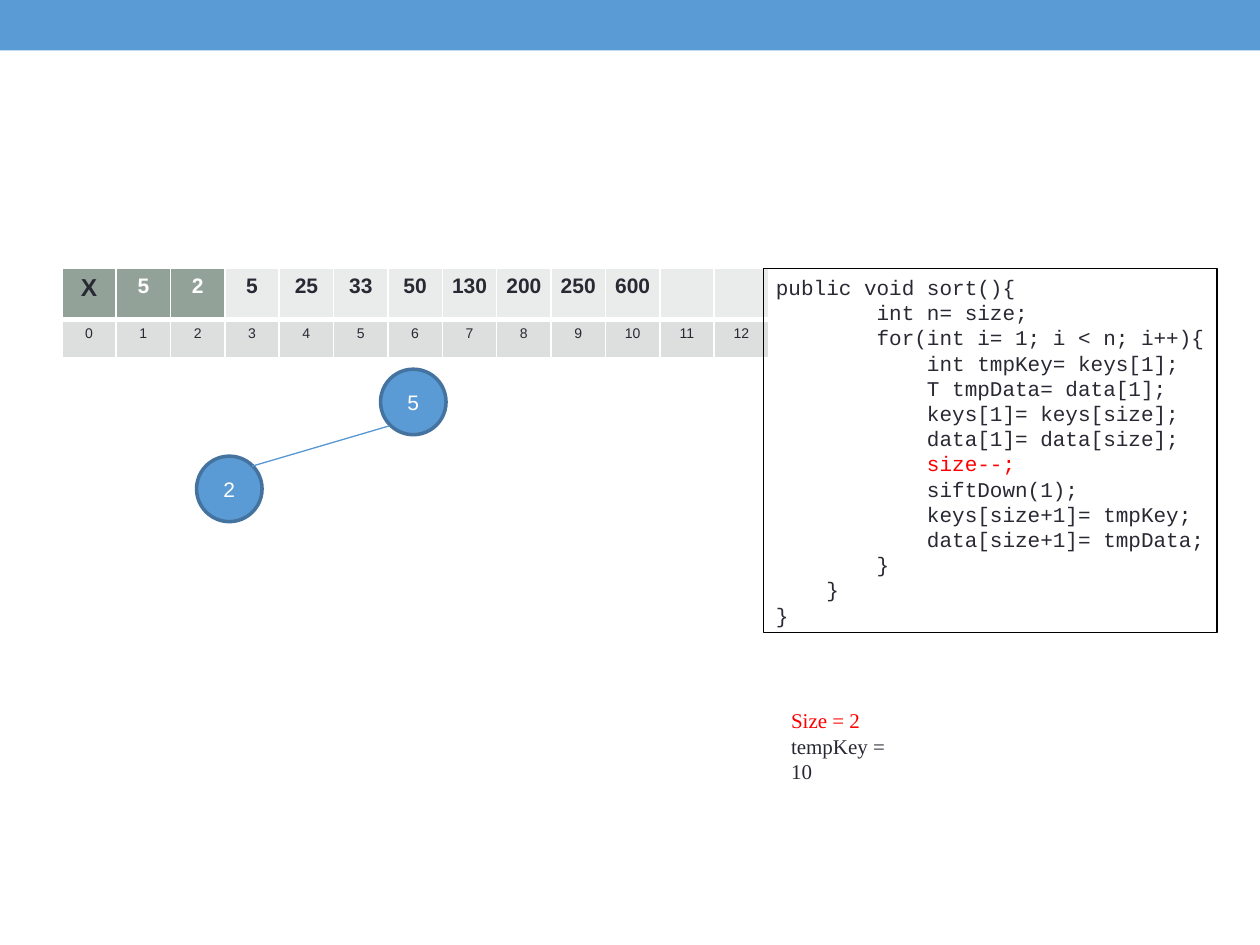
from dataclasses import dataclass

from lxml.etree import SubElement
from pptx import Presentation
from pptx.dml.color import RGBColor as RGB
from pptx.enum.shapes import MSO_CONNECTOR as LINK, MSO_SHAPE as SHAPE
from pptx.enum.text import MSO_ANCHOR as ANCHOR, PP_ALIGN as ALIGN
from pptx.oxml.ns import qn
from pptx.util import Inches, Pt


@dataclass(frozen=True)
class Theme:
    blue: str = "5B9BD5"
    rim: str = "43739E"
    edge: str = "5698D3"
    ink: str = "292934"
    red: str = "FF0000"
    white: str = "FFFFFF"
    black: str = "000000"
    sage: str = "93A299"
    pale: str = "E9ECEB"
    grey: str = "DCDFDD"
    sans: str = "Arial"
    mono: str = "Courier New"
    serif: str = "Times New Roman"
    big: int = 14
    body: int = 12
    small: int = 8


CODE = """public void sort(){
        int n= size;
        for(int i= 1; i < n; i++){
            int tmpKey= keys[1];
            T tmpData= data[1];
            keys[1]= keys[size];
            data[1]= data[size];
            size--;
            siftDown(1);
            keys[size+1]= tmpKey;
            data[size+1]= tmpData;
        }
    }
}"""
STATE = "Size = 2\ntempKey = 10"
KEYS = ["X", "5", "2", "5", "25", "33", "50", "130", "200", "250", "600", "", ""]
HEAP = 3


class Deck:
    def __init__(self, theme):
        self.theme = theme
        self.file = Presentation()
        self.file.slide_width = Inches(10)
        self.file.slide_height = Inches(7.5)
        self.slide = self.file.slides.add_slide(self.file.slide_layouts[6])

    def label(self, frame, text, face, size, color, align=ALIGN.LEFT, bold=False, hot=None):
        frame.text = text
        for row, para in enumerate(frame.paragraphs):
            para.alignment = align
            for run in para.runs:
                font = run.font
                font.name, font.size, font.bold = face, Pt(size), bold
                shade = self.theme.red if row == hot else color
                font.color.rgb = RGB.from_string(shade)

    def shape(self, kind, box, fill=None, line=None, width=0.75):
        item = self.slide.shapes.add_shape(kind, *map(Inches, box))
        item.shadow.inherit = False
        if fill:
            item.fill.solid()
            item.fill.fore_color.rgb = RGB.from_string(fill)
        else:
            item.fill.background()
        if line:
            item.line.color.rgb = RGB.from_string(line)
            item.line.width = Pt(width)
        else:
            item.line.fill.background()
        return item

    def node(self, left, top, text):
        look = self.theme
        item = self.shape(SHAPE.OVAL, (left, top, 0.52, 0.52), look.blue, look.rim, 2)
        item.text_frame.vertical_anchor = ANCHOR.MIDDLE
        self.label(item.text_frame, text, look.sans, look.body, look.white, ALIGN.CENTER)

    def link(self, start, end):
        ends = map(Inches, (*start, *end))
        item = self.slide.shapes.add_connector(LINK.STRAIGHT, *ends)
        item.line.color.rgb = RGB.from_string(self.theme.edge)
        item.line.width = Pt(0.75)
        SubElement(item._element.spPr, qn("a:effectLst"))

    def code(self, box, text, hot):
        look = self.theme
        frame = self.shape(SHAPE.RECTANGLE, box, line=look.black).text_frame
        frame.word_wrap = False
        frame.vertical_anchor = ANCHOR.TOP
        self.label(frame, text, look.mono, look.body, look.ink, hot=hot)

    def note(self, box, text, hot):
        look = self.theme
        frame = self.slide.shapes.add_textbox(*map(Inches, box)).text_frame
        frame.word_wrap = False
        self.label(frame, text, look.serif, look.body, look.ink, hot=hot)

    def cell(self, cell, text, size, color, fill, bold, base):
        props = cell._tc.get_or_add_tcPr()
        for side, width in (("L", 0.96), ("R", 0.96), ("T", 0.96), ("B", base)):
            line = SubElement(props, qn(f"a:ln{side}"), w=str(Pt(width)))
            paint = SubElement(line, qn("a:solidFill"))
            SubElement(paint, qn("a:srgbClr"), val=self.theme.white)
        cell.fill.solid()
        cell.fill.fore_color.rgb = RGB.from_string(fill)
        cell.margin_left = cell.margin_right = Inches(0.07)
        cell.margin_top = cell.margin_bottom = Inches(0.05)
        self.label(cell.text_frame, text, self.theme.sans, size, color, ALIGN.CENTER, bold)

    def array(self, box, keys, heap):
        look = self.theme
        grid = self.slide.shapes.add_table(2, len(keys), *map(Inches, box)).table
        grid.rows[0].height, grid.rows[1].height = Inches(0.38), Inches(0.3)
        for col, key in enumerate(keys):
            live = col < heap
            size = look.body if col else look.big
            color = look.white if live and col else look.ink
            fill = look.sage if live else look.pale
            self.cell(grid.cell(0, col), key, size, color, fill, True, 3)
            self.cell(grid.cell(1, col), str(col), look.small, look.ink, look.grey, False, 0.96)


def main():
    deck = Deck(Theme())
    deck.shape(SHAPE.RECTANGLE, (0, 0, 10, 0.4), deck.theme.blue)
    deck.array((0.49, 2.13, 5.61, 0.68), KEYS, HEAP)
    deck.node(3.02, 2.93, "5")
    deck.node(1.56, 3.62, "2")
    deck.link((3.09, 3.38), (2, 3.7))
    deck.code((6.06, 2.13, 3.6, 2.89), CODE, hot=7)
    deck.note((6.18, 5.57, 1.15, 0.5), STATE, hot=0)
    deck.file.save("out.pptx")


if __name__ == "__main__":
    main()
